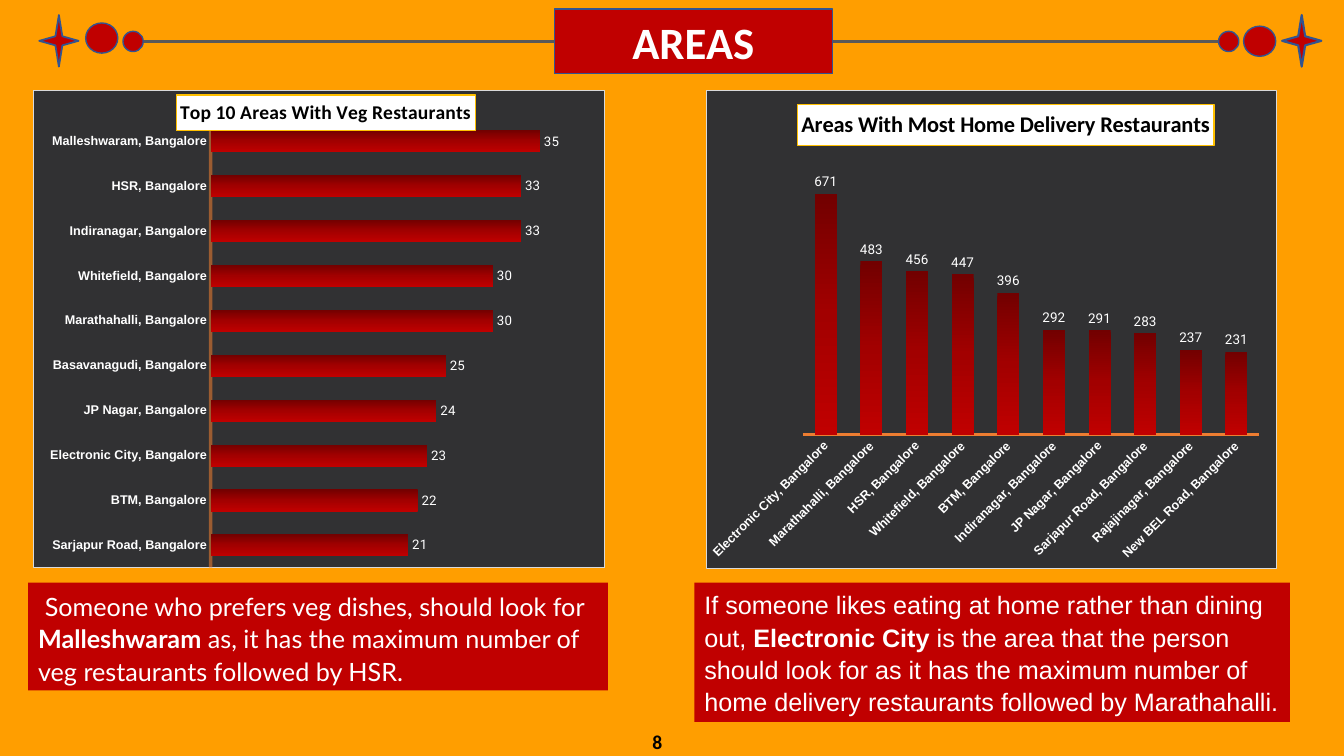
from pptx import Presentation
from pptx.chart.data import CategoryChartData
from pptx.dml.color import RGBColor
from pptx.enum.chart import XL_CHART_TYPE, XL_LABEL_POSITION, XL_TICK_MARK
from pptx.enum.shapes import MSO_CONNECTOR, MSO_SHAPE
from pptx.enum.text import MSO_ANCHOR, PP_ALIGN
from pptx.oxml import parse_xml
from pptx.oxml.ns import nsdecls, qn
from pptx.util import Cm, Pt

ORANGE = RGBColor(0xFF, 0x9E, 0x00)
RED = RGBColor(0xC0, 0x00, 0x00)
BLUE = RGBColor(0x32, 0x54, 0x91)
GREY = RGBColor(0x59, 0x59, 0x59)
AXIS_ORANGE = RGBColor(0xED, 0x7D, 0x31)
GOLD = RGBColor(0xFF, 0xC0, 0x00)
CHARCOAL = RGBColor(0x31, 0x31, 0x33)
SILVER = RGBColor(0xD9, 0xD9, 0xD9)
DARK_RED = RGBColor(0x72, 0x00, 0x00)
MID_RED = RGBColor(0xA2, 0x00, 0x00)
WHITE = RGBColor(0xFF, 0xFF, 0xFF)
BLACK = RGBColor(0x00, 0x00, 0x00)
STRAIGHT = MSO_CONNECTOR.STRAIGHT
CIRCLE, STAR = MSO_SHAPE.FLOWCHART_CONNECTOR, MSO_SHAPE.STAR_4_POINT
BAR, COLUMN = XL_CHART_TYPE.BAR_CLUSTERED, XL_CHART_TYPE.COLUMN_CLUSTERED
OUTSIDE_END = XL_LABEL_POSITION.OUTSIDE_END
NO_TICK = XL_TICK_MARK.NONE
TOP, MIDDLE = MSO_ANCHOR.TOP, MSO_ANCHOR.MIDDLE
CENTER, RIGHT = PP_ALIGN.CENTER, PP_ALIGN.RIGHT


def style_font(font, color, formats):
    for attribute, value in formats.items():
        setattr(font, attribute, value)
    font.color.rgb = color


def manual_layout(target, **places):
    marks = "".join(f'<c:{name} val="{value}"/>' for name, value in places.items())
    return parse_xml(f'<c:layout {nsdecls("c")}><c:manualLayout>{target}'
                     f'<c:xMode val="edge"/><c:yMode val="edge"/>{marks}'
                     '</c:manualLayout></c:layout>')


prs = Presentation()
prs.slide_width, prs.slide_height = Cm(33.87), Cm(19.05)
slide = prs.slides.add_slide(prs.slide_layouts[5])
slide.background.fill.solid()
slide.background.fill.fore_color.rgb = ORANGE

header_line = slide.shapes.add_connector(STRAIGHT, Cm(3.45), Cm(1.04), Cm(31.01), Cm(1.04))
header_line.line.color.rgb = GREY
header_line.line.width = Pt(2)
header_line.element.spPr.append(parse_xml(f'<a:effectLst {nsdecls("a")}/>'))

ornaments = [
    (CIRCLE, 30.71, 0.79, 0.51, 0.51, 1),
    (CIRCLE, 31.34, 0.66, 0.81, 0.76, 1),
    (STAR, 32.31, 0.38, 0.99, 1.3, 1.5),
    (CIRCLE, 3.1, 0.79, 0.51, 0.51, 1),
    (CIRCLE, 2.16, 0.58, 0.81, 0.76, 1),
    (STAR, 0.99, 0.38, 0.99, 1.3, 1.25),
]
for kind, left, top, width, height, outline in ornaments:
    ornament = slide.shapes.add_shape(kind, Cm(left), Cm(top), Cm(width), Cm(height))
    ornament.shadow.inherit = False
    ornament.fill.solid()
    ornament.fill.fore_color.rgb = RED
    ornament.line.color.rgb = BLUE
    ornament.line.width = Pt(outline)

title = slide.shapes.title
title.left, title.top, title.width, title.height = Cm(13.97), Cm(0.23), Cm(7.01), Cm(1.63)
title.fill.solid()
title.fill.fore_color.rgb = RED
title.line.color.rgb = BLUE
title.line.width = Pt(1)
title.text_frame.text = "AREAS"
title.text_frame.vertical_anchor = MIDDLE
heading = title.text_frame.paragraphs[0]
heading.alignment = CENTER
style_font(heading.runs[0].font, WHITE, {"name": "Calibri", "size": Pt(32), "bold": True})
header_line.element.addnext(title.element)

charts = [
    {"kind": COLUMN, "left": 17.78, "title": "Areas With Most Home Delivery Restaurants",
     "title_size": 16, "title_at": (0.16, 0.03), "plot": (0.17, 0.12, 0.8, 0.6),
     "gap": 107, "overlap": -27, "maximum": 800, "label_size": 9.6, "axis_width": 2.25,
     "axis_alpha": 100, "rotation": -45,
     "values": {"Electronic City": 671, "Marathahalli": 483, "HSR": 456, "Whitefield": 447,
                "BTM": 396, "Indiranagar": 292, "JP Nagar": 291, "Sarjapur Road": 283,
                "Rajajinagar": 237, "New BEL Road": 231}},
    {"kind": BAR, "left": 0.84, "title": "Top 10 Areas With Veg Restaurants",
     "title_size": 14, "title_at": (0.25, 0.01), "plot": (0.31, 0.06, 0.66, 0.94),
     "gap": 105, "overlap": 0, "maximum": 40, "label_size": 9.5, "axis_width": 2.5,
     "axis_alpha": 57, "rotation": 0,
     "values": {"Sarjapur Road": 21, "BTM": 22, "Electronic City": 23, "JP Nagar": 24,
                "Basavanagudi": 25, "Marathahalli": 30, "Whitefield": 30,
                "Indiranagar": 33, "HSR": 33, "Malleshwaram": 35}},
]
for facts in charts:
    data = CategoryChartData()
    data.categories = [f"{area}, Bangalore" for area in facts["values"]]
    data.add_series("Series 1", list(facts["values"].values()))
    chart = slide.shapes.add_chart(facts["kind"], Cm(facts["left"]), Cm(2.26),
                                   Cm(14.4), Cm(12.09), data).chart
    chart.has_legend = False
    style_font(chart.font, BLACK, {"name": "Calibri", "size": Pt(10)})
    chart.element.find(qn("c:chart")).addnext(parse_xml(
        f'<c:spPr {nsdecls("c", "a")}><a:solidFill><a:srgbClr val="{CHARCOAL}"/></a:solidFill>'
        f'<a:ln w="9525"><a:solidFill><a:srgbClr val="{SILVER}"/></a:solidFill></a:ln></c:spPr>'))

    chart.has_title = True
    caption = chart.chart_title
    caption.text_frame.text = facts["title"]
    style_font(caption.text_frame.paragraphs[0].runs[0].font, BLACK,
               {"name": "Calibri", "size": Pt(facts["title_size"]), "bold": True})
    caption.format.fill.solid()
    caption.format.fill.fore_color.rgb = WHITE
    caption.format.line.color.rgb = GOLD
    caption.format.line.width = Pt(1)

    plot_area = chart.element.find(".//" + qn("c:plotArea"))
    caption_xml = chart.element.find(".//" + qn("c:title"))
    for holder in (caption_xml, plot_area):
        for layout in holder.findall(qn("c:layout")):
            holder.remove(layout)
    x, y = facts["title_at"]
    caption_xml.find(qn("c:tx")).addnext(manual_layout("", x=x, y=y))
    x, y, w, h = facts["plot"]
    plot_area.insert(0, manual_layout('<c:layoutTarget val="inner"/>', x=x, y=y, w=w, h=h))

    plot = chart.plots[0]
    plot.vary_by_categories = False
    plot.gap_width = facts["gap"]
    plot.overlap = facts["overlap"]
    plot.has_data_labels = True
    labels = plot.data_labels
    labels.show_value = True
    labels.position = OUTSIDE_END
    style_font(labels.font, WHITE, {"name": "Roboto", "size": Pt(facts["label_size"])})

    series = plot.series[0]
    series.invert_if_negative = False
    series.format.fill.solid()
    solid = plot_area.find(".//" + qn("c:ser")).find(qn("c:spPr")).find(qn("a:solidFill"))
    stops = "".join(f'<a:gs pos="{place * 1000}"><a:srgbClr val="{color}"/></a:gs>'
                    for place, color in ((0, DARK_RED), (50, MID_RED), (100, RED)))
    solid.getparent().replace(solid, parse_xml(
        f'<a:gradFill {nsdecls("a")}><a:gsLst>{stops}</a:gsLst>'
        '<a:lin ang="5400000" scaled="0"/></a:gradFill>'))

    areas = chart.category_axis
    areas.major_tick_mark = areas.minor_tick_mark = NO_TICK
    areas.has_major_gridlines = False
    style_font(areas.tick_labels.font, WHITE, {"name": "Arial", "size": Pt(9), "bold": True})
    areas.format.line.color.rgb = AXIS_ORANGE
    areas.format.line.width = Pt(facts["axis_width"])
    areas_xml = plot_area.find(qn("c:catAx"))
    areas_xml.find(qn("c:txPr")).find(qn("a:bodyPr")).set("rot", str(facts["rotation"] * 60000))
    areas_xml.find(qn("c:spPr")).find(".//" + qn("a:srgbClr")).append(parse_xml(
        f'<a:alpha {nsdecls("a")} val="{facts["axis_alpha"] * 1000}"/>'))

    counts = chart.value_axis
    counts.visible = False
    counts.has_major_gridlines = False
    counts.minimum_scale, counts.maximum_scale = 0, facts["maximum"]

findings = [
    (0.71, 14.61, 2.72, "Lato",
     [(" ", 19, False), ("Someone who prefers veg dishes, should look for ", 18, False),
      ("Malleshwaram", 18, True),
      (" as, it has the maximum number of veg restaurants followed by HSR.", 18, False)]),
    (17.5, 15.01, 3.51, "Arial",
     [("If someone likes eating at home rather than dining out, ", 18, False),
      ("Electronic City", 18, True),
      (" is the area that the person should look for as it has the maximum number of "
       "home delivery restaurants followed by Marathahalli.", 18, False)]),
]
for left, width, height, typeface, parts in findings:
    finding = slide.shapes.add_textbox(Cm(left), Cm(14.68), Cm(width), Cm(height))
    finding.fill.solid()
    finding.fill.fore_color.rgb = RED
    finding.text_frame.word_wrap = True
    finding.text_frame.vertical_anchor = TOP
    sentence = finding.text_frame.paragraphs[0]
    sentence.line_spacing = 1.07
    sentence.space_after = Pt(8)
    for words, size, bold in parts:
        run = sentence.add_run()
        run.text = words
        style_font(run.font, WHITE, {"name": typeface, "size": Pt(size), "bold": bold})

page_number = slide.shapes.add_textbox(Cm(9.32), Cm(18.19), Cm(7.62), Cm(1.02))
page_number.text_frame.word_wrap = True
page_number.text_frame.vertical_anchor = MIDDLE
page = page_number.text_frame.paragraphs[0]
page.text = "8"
page.alignment = RIGHT
style_font(page.runs[0].font, BLACK, {"name": "Calibri", "size": Pt(14), "bold": True})

prs.save("out.pptx")
